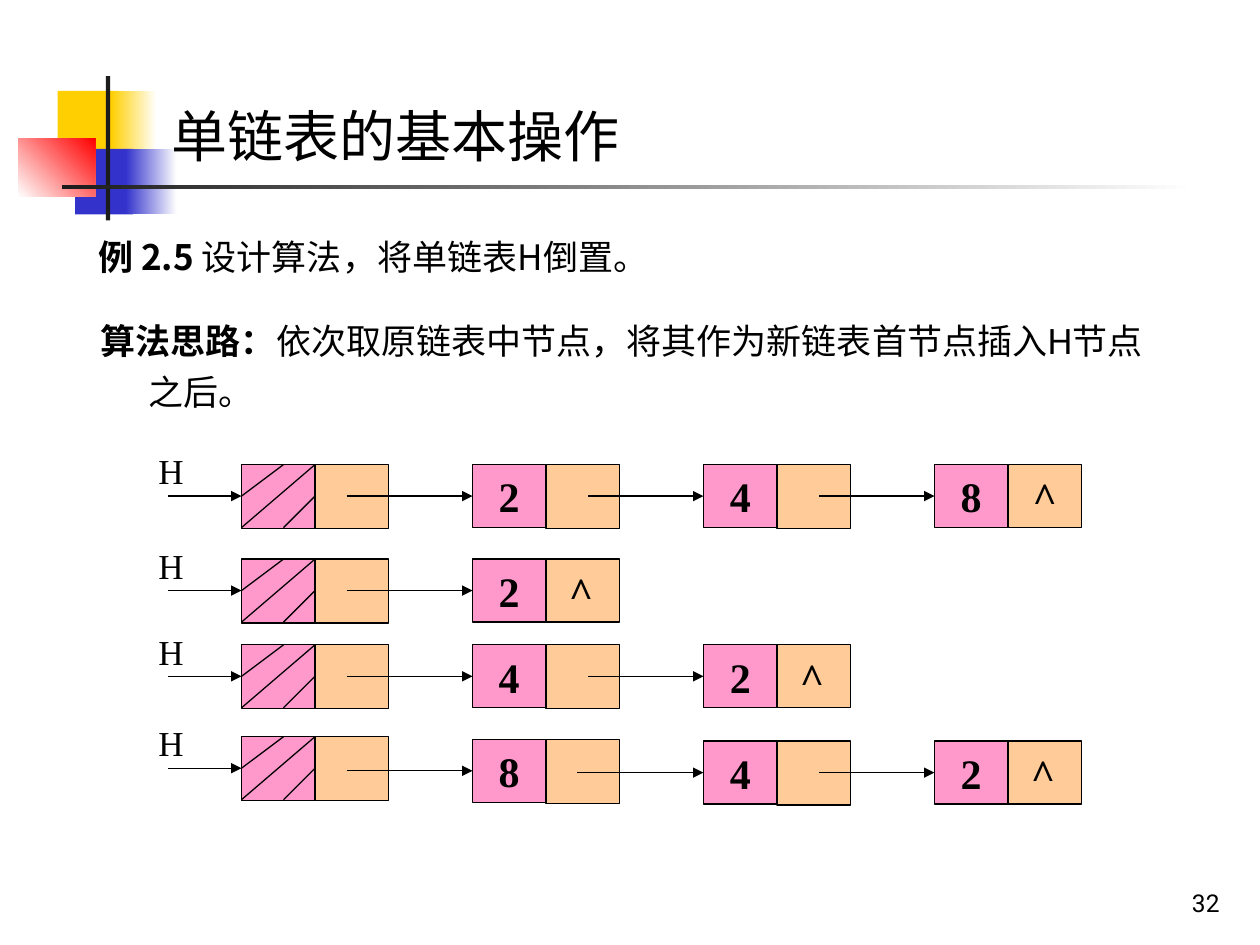
from lxml import etree
from pptx import Presentation
from pptx.dml.color import RGBColor
from pptx.enum.shapes import MSO_CONNECTOR, MSO_SHAPE
from pptx.enum.text import MSO_ANCHOR as Anchor, PP_ALIGN as Align
from pptx.oxml.ns import qn
from pptx.util import Pt

BLACK = RGBColor(0x00, 0x00, 0x00)
WHITE = RGBColor(0xFF, 0xFF, 0xFF)
YELLOW = RGBColor(0xFF, 0xCF, 0x01)
BLUE = RGBColor(0x33, 0x33, 0xCC)
RED = RGBColor(0xFF, 0x00, 0x00)
CHARCOAL = RGBColor(0x1C, 0x1C, 0x1C)
PINK = RGBColor(0xFF, 0x99, 0xCC)
PEACH = RGBColor(0xFF, 0xCC, 0x99)

SERIF, SANS = "Times New Roman", "Roboto"
CJK, CJK_TITLE = "Noto Sans CJK SC", "Noto Sans CJK JP"

prs = Presentation()
prs.slide_width, prs.slide_height = Pt(720), Pt(540)
slide = prs.slides.add_slide(prs.slide_layouts[6])
shapes = slide.shapes


def add_rect(left, top, width, height):
    rect = shapes.add_shape(MSO_SHAPE.RECTANGLE, Pt(left), Pt(top), Pt(width), Pt(height))
    rect.shadow.inherit = False
    return rect


def write(shape, runs, size, align=Align.LEFT, anchor=Anchor.TOP, before=0, hanging=0, spacing=1.0):
    """Fill the first paragraph with runs of (text, font, East Asian font, bold)."""
    frame = shape.text_frame
    frame.word_wrap = True
    frame.vertical_anchor = anchor
    paragraph = frame.paragraphs[0]
    paragraph.alignment = align
    paragraph.space_before = Pt(before)
    paragraph.line_spacing = spacing
    if hanging:
        props = paragraph._p.get_or_add_pPr()
        props.set("marL", str(Pt(hanging)))
        props.set("indent", str(-Pt(hanging)))
    for text, font, east_asian, bold in runs:
        run = paragraph.add_run()
        run.text = text
        run.font.name, run.font.size, run.font.bold = font, Pt(size), bold
        run.font.color.rgb = BLACK
        etree.SubElement(run._r.get_or_add_rPr(), qn("a:ea"), typeface=east_asian)


# Corner blocks and title rule: left, top, width, height, start, end, angle
for left, top, width, height, start, end, angle in [
    (33, 52, 34.5, 37.5, YELLOW, None, 0),
    (63.5, 52, 26, 37.5, YELLOW, WHITE, 0),
    (43, 85, 33, 37.5, BLUE, None, 0),
    (72, 85, 29, 37.5, BLUE, WHITE, 0),
    (10.5, 79, 44, 33.5, WHITE, RED, 45),
    (60.5, 43.5, 2.5, 82.5, CHARCOAL, None, 0),
    (35.5, 105.5, 648, 2.5, CHARCOAL, WHITE, 0),
]:
    block = add_rect(left, top, width, height)
    block.line.fill.background()
    if end is None:
        block.fill.solid()
        block.fill.fore_color.rgb = start
    else:
        block.fill.gradient()
        block.fill.gradient_angle = angle
        for stop, position, colour in zip(block.fill.gradient_stops, (0, 1), (start, end)):
            stop.position = position
            stop.color.rgb = colour

# Title, example, idea and page number
body = dict(size=20, before=5, hanging=27, spacing=1.2)
for left, top, width, height, runs, style in [
    (49, 126.5, 626.5, 48.5,
     [("例 2.5 ", CJK, CJK, True), ("设计算法，将单链表H倒置。", CJK, CJK, False)], body),
    (91, 54.5, 629, 46,
     [("单链表的基本操作", CJK_TITLE, CJK_TITLE, False)], dict(size=32, before=20)),
    (50.5, 174.5, 626.5, 70.5,
     [("算法思路：", SERIF, CJK, True),
      ("依次取原链表中节点，将其作为新链表首节点插入H节点之后。", SANS, CJK, False)], body),
    (554.5, 492, 149.5, 36,
     [("32", SANS, CJK, False)], dict(size=14, align=Align.RIGHT, anchor=Anchor.BOTTOM)),
]:
    write(shapes.add_textbox(Pt(left), Pt(top), Pt(width), Pt(height)), runs, **style)

# Linked lists: head top, node values, node drops below the head, null mark, its alignment
CELL, PITCH, HEAD_LEFT = 42, 132, 138
MIDDLE = 18
lists = [
    (265.5, "248", (0, 0, 0), "^", Align.CENTER),
    (319.5, "2", (0,), " ^", Align.LEFT),
    (368.5, "42", (0, 0), " ^", Align.LEFT),
    (421, "842", (1.5, 2.5, 2.5), " ^", Align.LEFT),
]
for top, values, drops, null_mark, null_align in lists:
    mid, bottom = top + MIDDLE, top + 2 * MIDDLE
    head_right = HEAD_LEFT + CELL

    label = shapes.add_textbox(Pt(83.5), Pt(top - 12), Pt(30), Pt(31.5))
    write(label, [("H", SERIF, CJK, False)], 20, before=12.5)

    # Cells (left, top, height, colour, text, alignment) and lines (x1, y1, x2, y2, arrow)
    cells = [(HEAD_LEFT, top, 36.5, PINK, "", None), (head_right, top, 36.5, PEACH, "", None)]
    lines = [
        (96, mid, HEAD_LEFT, mid, True),
        (HEAD_LEFT + 24, top, HEAD_LEFT, mid, False),
        (head_right, top, HEAD_LEFT, bottom, False),
        (head_right, mid, HEAD_LEFT + 24, bottom, False),
    ]
    for i, (value, drop) in enumerate(zip(values, drops)):
        left, node_top = HEAD_LEFT + (i + 1) * PITCH, top + drop
        is_last = i == len(values) - 1
        cells.append((left, node_top, 36, PINK, value, Align.CENTER))
        cells.append((left + CELL, node_top, 36 if is_last else 36.5, PEACH,
                      null_mark if is_last else "", null_align))
        # The pointer leaves the previous link cell, further left where the node is lowered
        start = left - PITCH + (60 if i == 0 or (i == 1 and drop) else 66)
        lines.append((start, node_top + MIDDLE, left, node_top + MIDDLE, True))

    for left, cell_top, height, colour, text, align in cells:
        cell = add_rect(left, cell_top, CELL, height)
        cell.fill.solid()
        cell.fill.fore_color.rgb = colour
        cell.line.color.rgb = BLACK
        cell.line.width = Pt(0.75)
        if text:
            write(cell, [(text, SERIF, CJK, True)], 24, align=align, before=15)

    for x1, y1, x2, y2, arrow in lines:
        link = shapes.add_connector(MSO_CONNECTOR.STRAIGHT, Pt(x1), Pt(y1), Pt(x2), Pt(y2))
        link.line.color.rgb = BLACK
        link.line.width = Pt(0.75)
        if arrow:
            etree.SubElement(link.line._get_or_add_ln(), qn("a:tailEnd"), type="triangle")
        etree.SubElement(link._element.spPr, qn("a:effectLst"))

prs.save("out.pptx")
